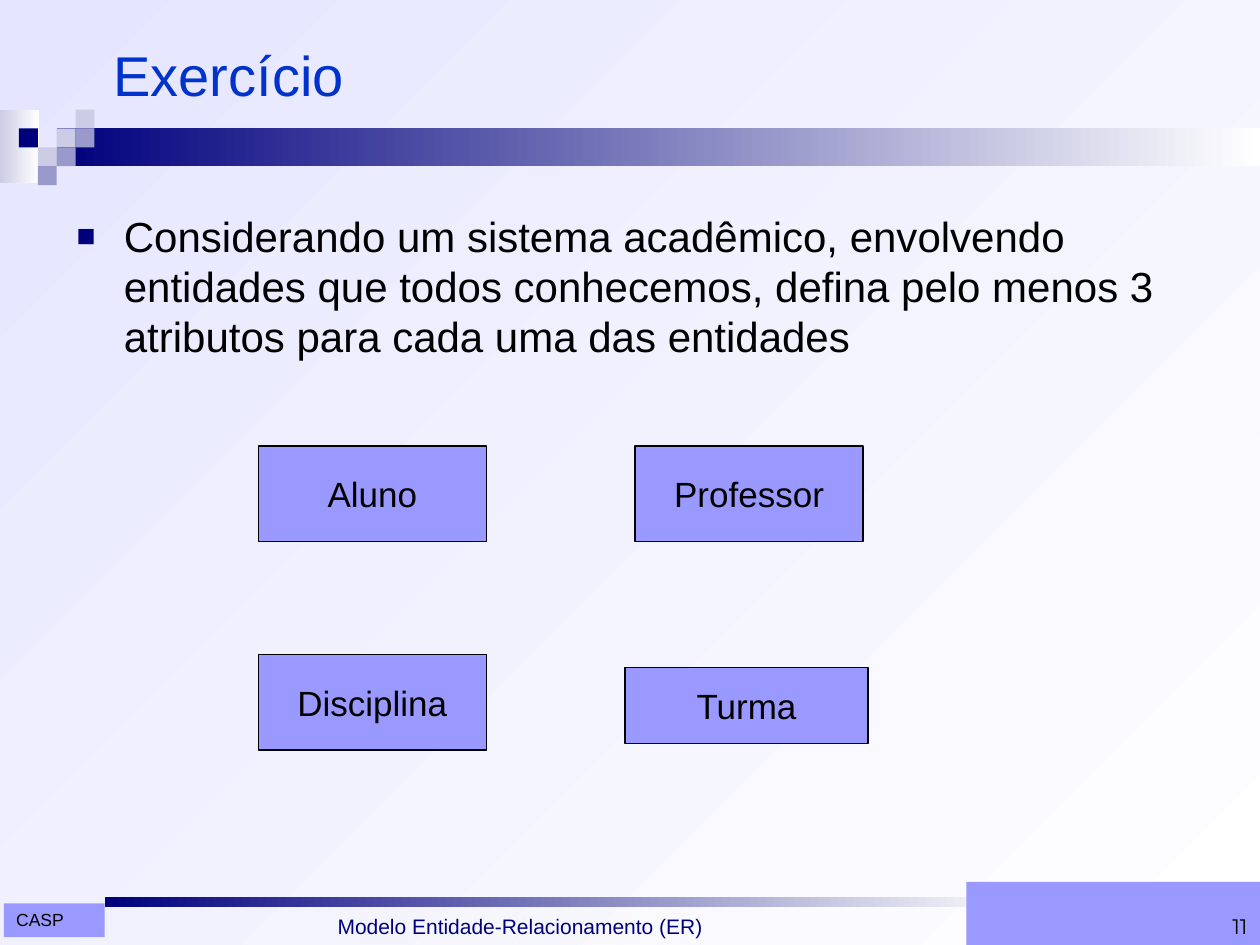
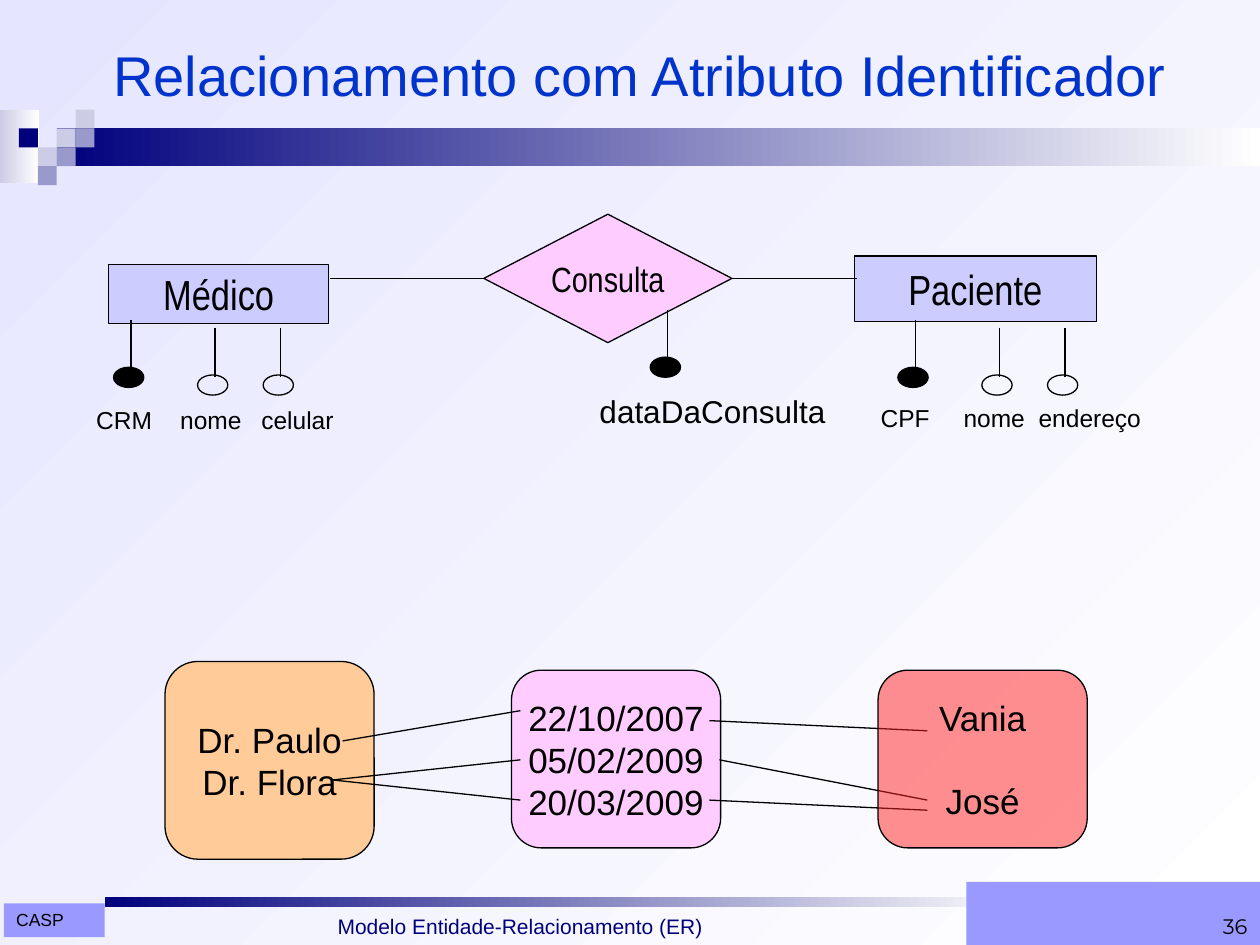
from dataclasses import dataclass

from lxml import etree
from pptx import Presentation
from pptx.dml.color import RGBColor
from pptx.enum.shapes import MSO_CONNECTOR, MSO_SHAPE, PP_PLACEHOLDER
from pptx.enum.text import MSO_ANCHOR, MSO_AUTO_SIZE, PP_ALIGN
from pptx.oxml.ns import qn
from pptx.util import Pt

RECT = MSO_SHAPE.RECTANGLE
ROUNDED = MSO_SHAPE.ROUNDED_RECTANGLE
DIAMOND = MSO_SHAPE.FLOWCHART_DECISION
OVAL = MSO_SHAPE.OVAL
STRAIGHT = MSO_CONNECTOR.STRAIGHT
TITLE = PP_PLACEHOLDER.TITLE
LEFT, CENTER, RIGHT = PP_ALIGN.LEFT, PP_ALIGN.CENTER, PP_ALIGN.RIGHT
TOP, MIDDLE, BOTTOM = MSO_ANCHOR.TOP, MSO_ANCHOR.MIDDLE, MSO_ANCHOR.BOTTOM
NO_AUTOFIT = MSO_AUTO_SIZE.NONE


@dataclass(frozen=True)
class Theme:
    font: str = "Arial"
    narrow: str = "Arial Narrow"
    number_font: str = "Montserrat"
    black: str = "000000"
    white: str = "FFFFFF"
    navy: str = "00007D"
    title_blue: str = "0033CC"
    sky: str = "E5E5FF"
    tile_light: str = "CCCCE6"
    tile_mid: str = "9999CC"
    violet: str = "9999FF"
    lilac: str = "CCCCFF"
    pink: str = "FFCCFF"
    peach: str = "FFCC99"
    red: str = "FF2121"
    title_size: float = 32
    body_size: float = 24
    box_size: float = 20
    key_size: float = 18
    label_size: float = 14
    footer_size: float = 12
    tag_size: float = 10
    line_width: float = 0.75


T = Theme()


def rgb(value):
    return RGBColor.from_string(value)


def set_gradient(fill, start, end, angle=0):
    fill.gradient()
    fill.gradient_angle = angle
    for stop, position, color in zip(fill.gradient_stops, (0, 1), (start, end)):
        stop.position = position
        stop.color.rgb = rgb(color)


def format_text(sp, text, size, color=T.black, font=T.font, align=LEFT, anchor=TOP, wrap=True):
    tf = sp.text_frame
    tf.text = text
    tf.word_wrap = wrap
    tf.auto_size = NO_AUTOFIT
    tf.vertical_anchor = anchor
    for p in tf.paragraphs:
        p.alignment = align
        for r in p.runs:
            r.font.size = Pt(size)
            r.font.name = font
            r.font.color.rgb = rgb(color)
    return tf


def add_box(s, kind, at, fill=None, outlined=False):
    sp = s.shapes.add_shape(kind, *map(Pt, at))
    sp.shadow.inherit = False
    if isinstance(fill, tuple):
        set_gradient(sp.fill, *fill)
    elif fill:
        sp.fill.solid()
        sp.fill.fore_color.rgb = rgb(fill)
    else:
        sp.fill.background()
    if outlined:
        sp.line.color.rgb = rgb(T.black)
        sp.line.width = Pt(T.line_width)
    else:
        sp.line.fill.background()
    return sp


def add_node(s, kind, at, fill, text, size=T.box_size, font=T.font):
    sp = add_box(s, kind, at, fill, outlined=True)
    format_text(sp, text, size, font=font, align=CENTER, anchor=MIDDLE, wrap=False)
    return sp


def add_text(s, at, text, size, **style):
    sp = s.shapes.add_textbox(*map(Pt, at))
    format_text(sp, text, size, **style)
    return sp


def add_line(s, x1, y1, x2, y2):
    cx = s.shapes.add_connector(STRAIGHT, Pt(x1), Pt(y1), Pt(x2), Pt(y2))
    cx.line.color.rgb = rgb(T.black)
    cx.line.width = Pt(T.line_width)
    etree.SubElement(cx.element.spPr, qn("a:effectLst"))
    return cx


def set_tabs(p, stops):
    tabs = etree.SubElement(p._p.get_or_add_pPr(), qn("a:tabLst"))
    for stop in stops:
        etree.SubElement(tabs, qn("a:tab"), pos=str(Pt(stop)), algn="l")


def set_bullet(p, indent):
    pPr = p._p.get_or_add_pPr()
    pPr.set("marL", str(Pt(indent)))
    pPr.set("indent", str(-Pt(indent)))
    color = etree.SubElement(pPr, qn("a:buClr"))
    etree.SubElement(color, qn("a:srgbClr"), val=T.navy)
    etree.SubElement(pPr, qn("a:buSzPct"), val="75000")
    etree.SubElement(pPr, qn("a:buFont"), typeface=T.font)
    etree.SubElement(pPr, qn("a:buChar"), char="■")


def set_opacity(sp, percent):
    color = sp.element.spPr.find(qn("a:solidFill")).find(qn("a:srgbClr"))
    etree.SubElement(color, qn("a:alpha"), val=str(percent * 1000))


def add_header_band(s):
    tile, left, top = 10.8, 21.6, 62.6
    fade = [add_box(s, RECT, (0, top, 22.3, 41.8), (T.tile_light, T.white)),
            add_box(s, RECT, (32.4, top + tile, 687.6, 2 * tile), (T.navy, T.white))]
    tiles = ((1, 1, T.tile_light), (2, 0, T.tile_light), (2, 1, T.tile_mid),
             (0, 2, T.tile_light), (-1, 1, T.navy), (1, 2, T.tile_mid), (0, 3, T.tile_mid))
    return fade + [add_box(s, RECT, (left + col * tile, top + row * tile, tile, tile), color)
                   for col, row, color in tiles]


def add_footer(s):
    rule = add_box(s, RECT, (59.8, 512.6, 531.4, 5.8), (T.navy, T.white))
    tag = add_box(s, RECT, (2.2, 516.2, 57.6, 19.4), T.violet)
    format_text(tag, "CASP", T.tag_size)
    subject = add_text(s, (185.8, 502.6, 332.6, 37.4), "Modelo Entidade-Relacionamento (ER)",
                       T.footer_size, color=T.navy, anchor=BOTTOM)
    return [rule, tag, subject]


def style_layout(layout, s):
    set_gradient(layout.background.fill, T.sky, T.white, 315)
    for ph in list(layout.placeholders):
        if ph.placeholder_format.type != TITLE:
            layout.shapes.element.remove(ph.element)
    for sp in add_header_band(s) + add_footer(s):
        layout.shapes.element.append(sp.element)


def set_title(s, text):
    title = s.shapes.title
    title.left, title.top, title.width, title.height = map(Pt, (57.6, 9.4, 648, 65.5))
    format_text(title, text, T.title_size, color=T.title_blue, anchor=MIDDLE)


def add_page_number(s, number):
    sp = add_box(s, RECT, (552.2, 504, 167.8, 36), T.violet)
    format_text(sp, str(number), T.footer_size, font=T.number_font, align=RIGHT, anchor=BOTTOM)


def add_attribute(s, x, y, key=False):
    add_line(s, x, y, x, y + 28.1)
    add_box(s, OVAL, (x - 10, y + 27, 17.3, 11.5), T.black if key else None, outlined=True)


def add_entity_attributes(s, x, label_top, names, tab_stops):
    add_attribute(s, x, 182.9, key=True)
    for offset in (48, 85.5):
        add_attribute(s, x + offset, 187.3)
    sp = add_text(s, (x - 27, label_top, 170, 24.5), "\t".join(names), T.label_size)
    set_tabs(sp.text_frame.paragraphs[0], tab_stops)


def build_exercise(s):
    set_title(s, "Exercício")
    add_page_number(s, 11)
    body = add_text(s, (36.7, 116.6, 648, 362.9),
                    "Considerando um sistema acadêmico, envolvendo entidades que todos conhecemos, "
                    "defina pelo menos 3 atributos para cada uma das entidades", T.body_size)
    set_bullet(body.text_frame.paragraphs[0], 27)
    entities = (("Aluno", (147.6, 254.9, 130.3, 54.7)),
                ("Disciplina", (147.6, 373.9, 130.3, 54.7)),
                ("Professor", (362.9, 254.9, 130.3, 54.7)),
                ("Turma", (357.1, 381.6, 139, 43.2)))
    for name, at in entities:
        add_node(s, RECT, at, T.violet, name)


def build_er_diagram(s):
    add_node(s, RECT, (61.9, 151.2, 126, 33.8), T.lilac, "Médico", T.body_size, T.narrow)
    add_node(s, RECT, (488.2, 146.2, 138.2, 37.4), T.lilac, "Paciente", T.body_size, T.narrow)
    visit = add_node(s, DIAMOND, (276.5, 122.4, 141.8, 73.4), T.pink, "Consulta", font=T.narrow)
    add_line(s, 188.6, 159.1, 276.5, 159.1).end_connect(visit, 1)
    add_line(s, 418.3, 159.1, 489.6, 159.1).begin_connect(visit, 3)
    add_attribute(s, 381.6, 177.1, key=True)
    add_text(s, (335.5, 220.3, 150, 28.8), "dataDaConsulta", T.key_size)
    add_entity_attributes(s, 74.9, 228.2, ("CRM", "nome", "celular"), (48, 94.3))
    add_entity_attributes(s, 523.1, 226.8, ("CPF", "nome", "endereço"), (47.4, 90.3))


def build_instances(s):
    add_node(s, ROUNDED, (94.3, 378, 119.5, 113), T.peach, "Dr. Paulo\nDr. Flora")
    add_node(s, ROUNDED, (292.3, 383, 119.5, 101.5), T.pink,
             "22/10/2007\n05/02/2009\n20/03/2009")
    links = ((195.8, 423.4, 297.4, 406.1), (190.1, 445.7, 297.4, 434.2),
             (190.1, 445.7, 297.4, 457.2), (529.9, 417.6, 405.4, 411.8),
             (529.9, 457.2, 411.1, 434.2), (529.9, 463, 405.4, 457.2))
    for link in links:
        add_line(s, *link)
    patients = add_node(s, ROUNDED, (501.8, 383, 119.5, 101.5), T.red, "Vania\nJosé")
    set_opacity(patients, 50)
    patients.text_frame.paragraphs[1].space_before = Pt(23)


def build_relationship(s):
    set_title(s, "Relacionamento com Atributo Identificador")
    add_page_number(s, 36)
    build_er_diagram(s)
    build_instances(s)


def main():
    prs = Presentation()
    prs.slide_width, prs.slide_height = Pt(720), Pt(540)
    layout = prs.slide_layouts[5]
    exercise, relationship = (prs.slides.add_slide(layout) for _ in range(2))
    style_layout(layout, exercise)
    build_exercise(exercise)
    build_relationship(relationship)
    prs.save("out.pptx")


if __name__ == "__main__":
    main()
